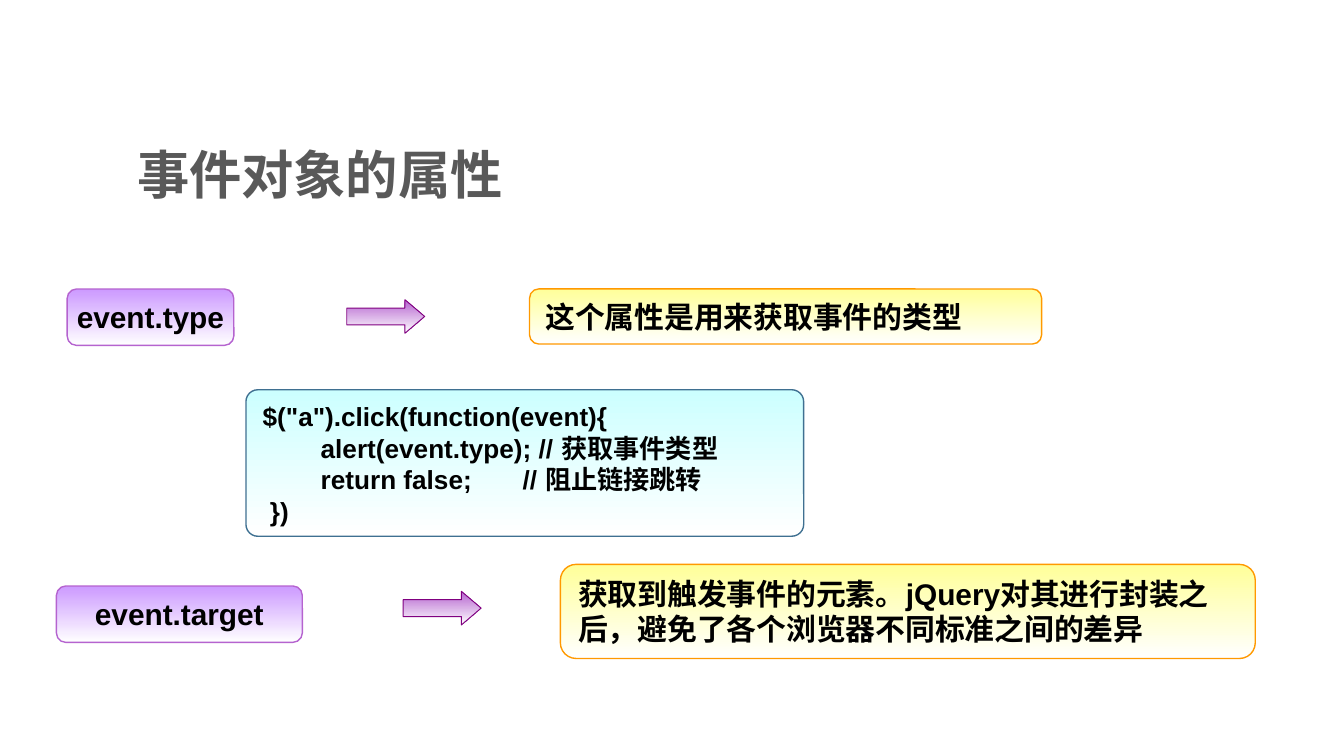
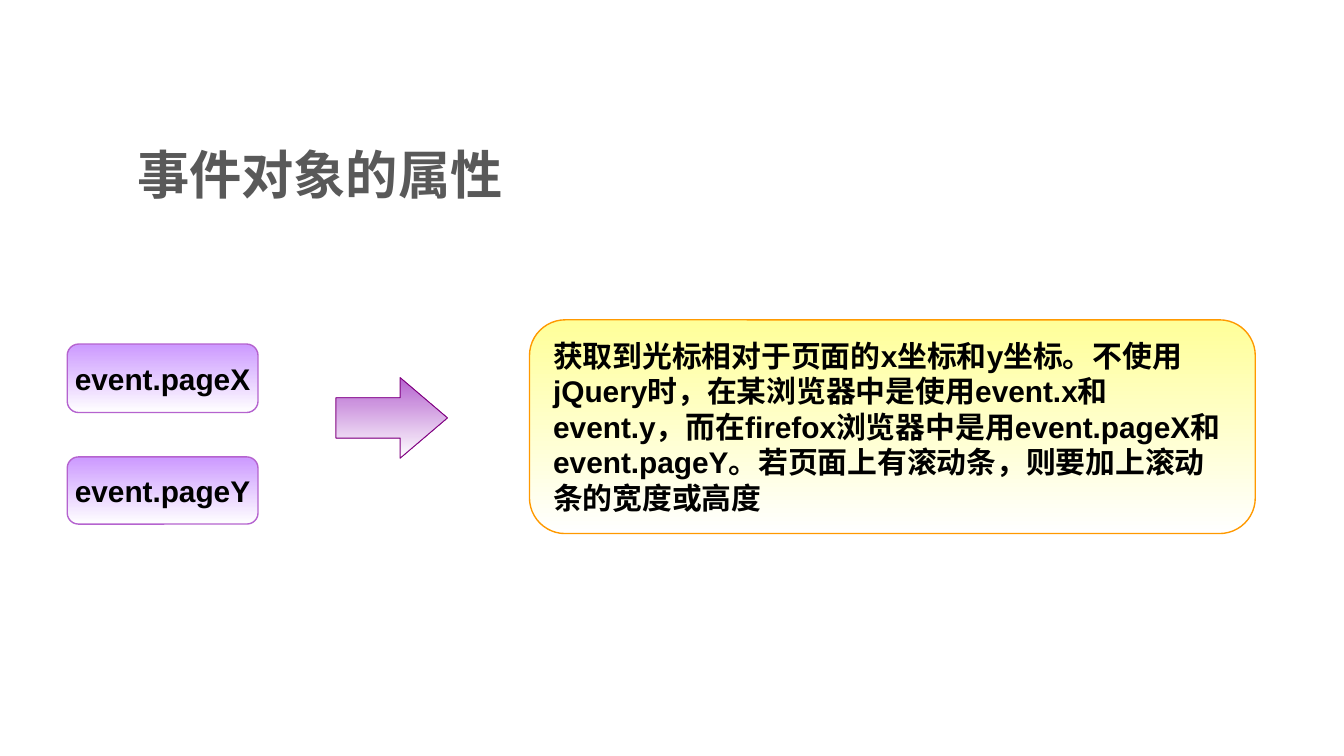
from pptx import Presentation
from pptx.dml.color import RGBColor
from pptx.enum.shapes import MSO_SHAPE
from pptx.enum.text import MSO_ANCHOR, PP_ALIGN
from pptx.oxml.ns import qn
from pptx.util import Inches, Pt

ROUND_RECT = MSO_SHAPE.ROUNDED_RECTANGLE
RIGHT_ARROW = MSO_SHAPE.RIGHT_ARROW
TOP, MIDDLE = MSO_ANCHOR.TOP, MSO_ANCHOR.MIDDLE
LEFT, CENTER = PP_ALIGN.LEFT, PP_ALIGN.CENTER
TITLE_ONLY = 5

SLIDE_WIDTH = 10
SLIDE_HEIGHT = SLIDE_WIDTH * 9 / 16
LATIN, CJK = "Arial", "Noto Sans CJK SC"
BLACK, GREY, WHITE = "000000", "595959", "FFFFFF"
TITLE = "事件对象的属性"
TITLE_AT = (0.92, 0.98, 7.17, 0.63)

STYLES = {
    "name": dict(top="CC99FF", line="B563CF", corner=0.167, size=16,
                 anchor=MIDDLE, align=CENTER, wrap=False),
    "note": dict(top="FFFF99", line="FF9900", corner=0.167, size=16,
                 anchor=MIDDLE, align=LEFT, wrap=True),
    "code": dict(top="CCFFFF", line="3F7091", corner=0.081, size=14,
                 anchor=TOP, align=LEFT, wrap=True),
}

CODE = """$("a").click(function(event){
        alert(event.type); // 获取事件类型
        return false;       // 阻止链接跳转
 })"""

SLIDES = [
    {
        "boxes": [
            ("name", (0.5, 2.15, 1.24, 0.42), "event.type"),
            ("note", (3.94, 2.15, 3.81, 0.41), "这个属性是用来获取事件的类型"),
            ("code", (1.83, 2.9, 4.15, 1.09), CODE),
            ("name", (0.42, 4.36, 1.83, 0.42), "event.target"),
            ("note", (4.17, 4.2, 5.17, 0.7),
             "获取到触发事件的元素。jQuery对其进行封装之后，"
             "避免了各个浏览器不同标准之间的差异"),
        ],
        "arrows": [(2.58, 2.23, 0.58, 0.25), (3, 4.4, 0.58, 0.25)],
    },
    {
        "boxes": [
            ("name", (0.5, 2.56, 1.42, 0.51), "event.pageX"),
            ("name", (0.5, 3.4, 1.42, 0.5), "event.pageY"),
            ("note", (3.94, 2.38, 5.4, 1.59),
             "获取到光标相对于页面的x坐标和y坐标。不使用jQuery时，"
             "在某浏览器中是使用event.x和event.y，"
             "而在firefox浏览器中是用event.pageX和event.pageY。"
             "若页面上有滚动条，则要加上滚动条的宽度或高度"),
        ],
        "arrows": [(2.5, 2.81, 0.83, 0.6)],
    },
]


def rgb(value):
    return RGBColor.from_string(value)


def format_text(tf, size, color, latin, align, anchor, wrap, spacing=None):
    tf.word_wrap = wrap
    tf.vertical_anchor = anchor
    for p in tf.paragraphs:
        p.alignment = align
        p.line_spacing = spacing
        for r in p.runs:
            r.font.size = Pt(size)
            r.font.bold = True
            r.font.color.rgb = rgb(color)
            r.font.name = latin
            ea = r.font._element.makeelement(qn("a:ea"), {"typeface": CJK})
            r.font._element.find(qn("a:latin")).addnext(ea)


def add_gradient_shape(s, kind, at, top, line, width):
    sp = s.shapes.add_shape(kind, *map(Inches, at))
    sp.shadow.inherit = False
    sp.fill.gradient()
    sp.fill.gradient_angle = 270
    for stop, color, position in zip(sp.fill.gradient_stops, (top, WHITE), (0, 1)):
        stop.color.rgb = rgb(color)
        stop.position = position
    sp.line.color.rgb = rgb(line)
    sp.line.width = Pt(width)
    return sp


def add_box(s, kind, at, text):
    style = STYLES[kind]
    sp = add_gradient_shape(s, ROUND_RECT, at, style["top"], style["line"], 0.75)
    sp.adjustments[0] = style["corner"]
    sp.text_frame.text = text
    size = style["size"]
    format_text(sp.text_frame, size, BLACK, LATIN, style["align"],
                style["anchor"], style["wrap"], Pt(round(size * 1.2)))


def add_arrow(s, at):
    sp = add_gradient_shape(s, RIGHT_ARROW, at, "B563CF", "800080", 0.5)
    sp.adjustments[1] = 0.587


def add_title(s):
    title = s.shapes.title
    title.left, title.top, title.width, title.height = map(Inches, TITLE_AT)
    title.text_frame.text = TITLE
    format_text(title.text_frame, 28, GREY, CJK, LEFT, MIDDLE, True)


def main():
    prs = Presentation()
    prs.slide_width, prs.slide_height = Inches(SLIDE_WIDTH), Inches(SLIDE_HEIGHT)
    for content in SLIDES:
        s = prs.slides.add_slide(prs.slide_layouts[TITLE_ONLY])
        add_title(s)
        for box in content["boxes"]:
            add_box(s, *box)
        for at in content["arrows"]:
            add_arrow(s, at)
    prs.save("out.pptx")


if __name__ == "__main__":
    main()
